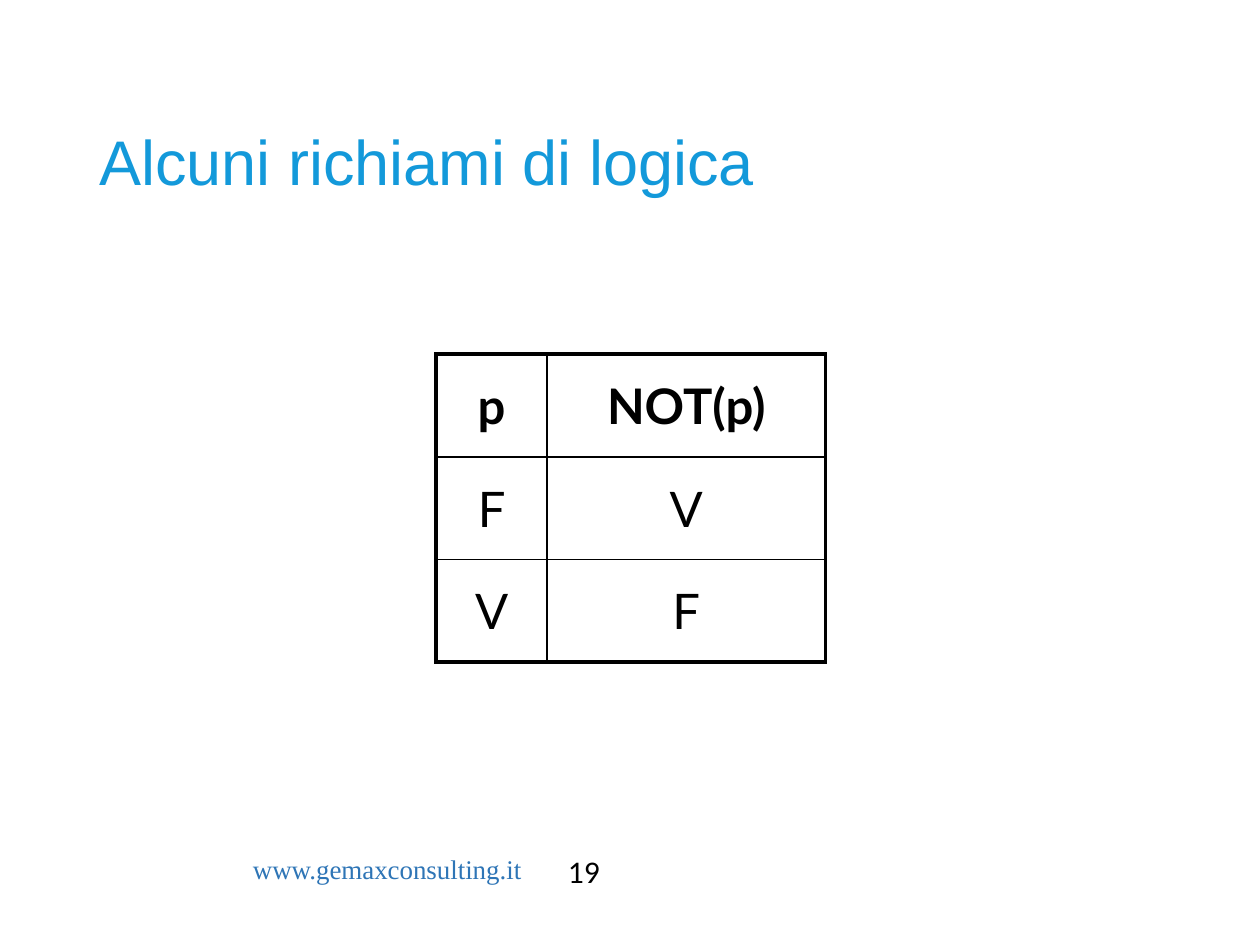
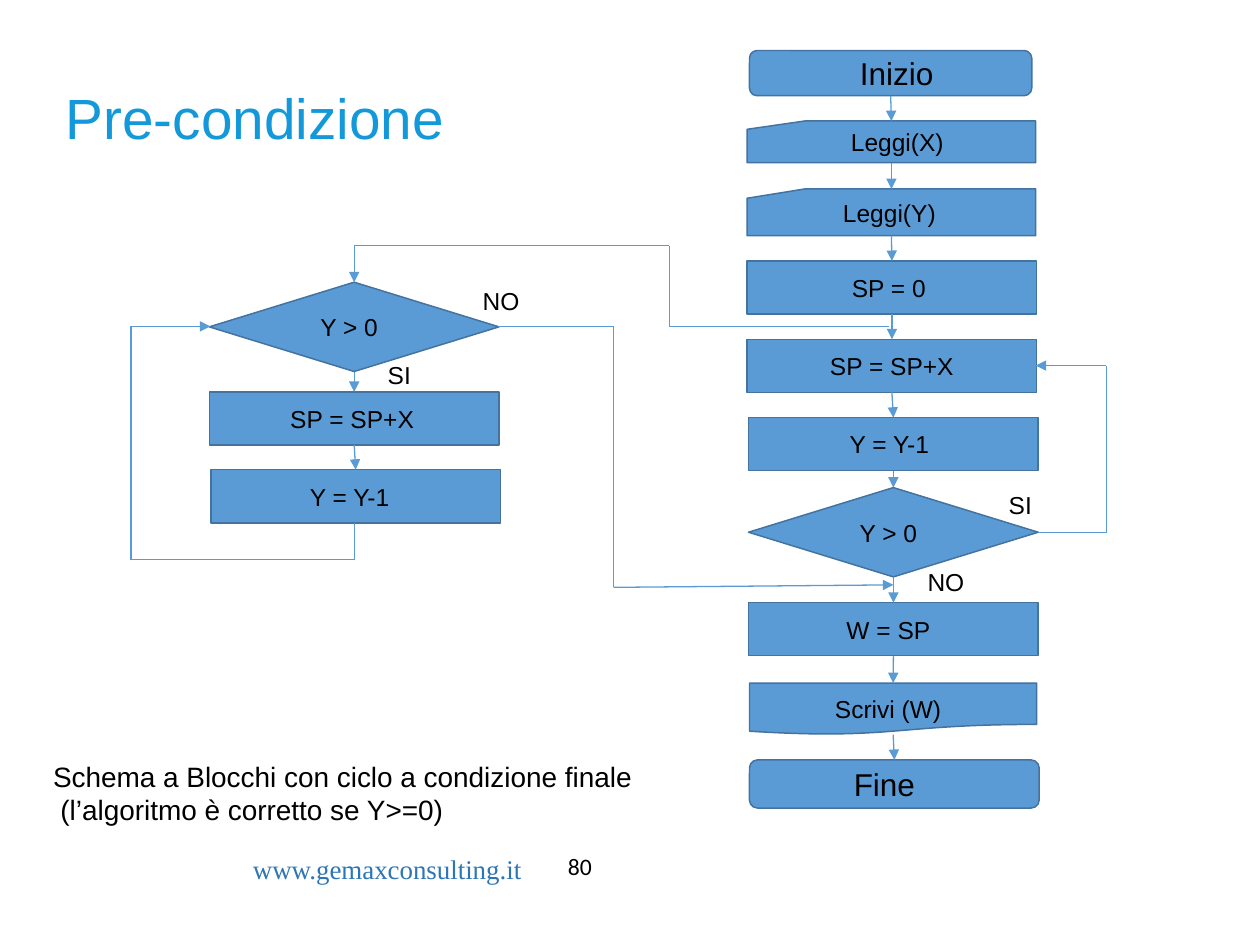
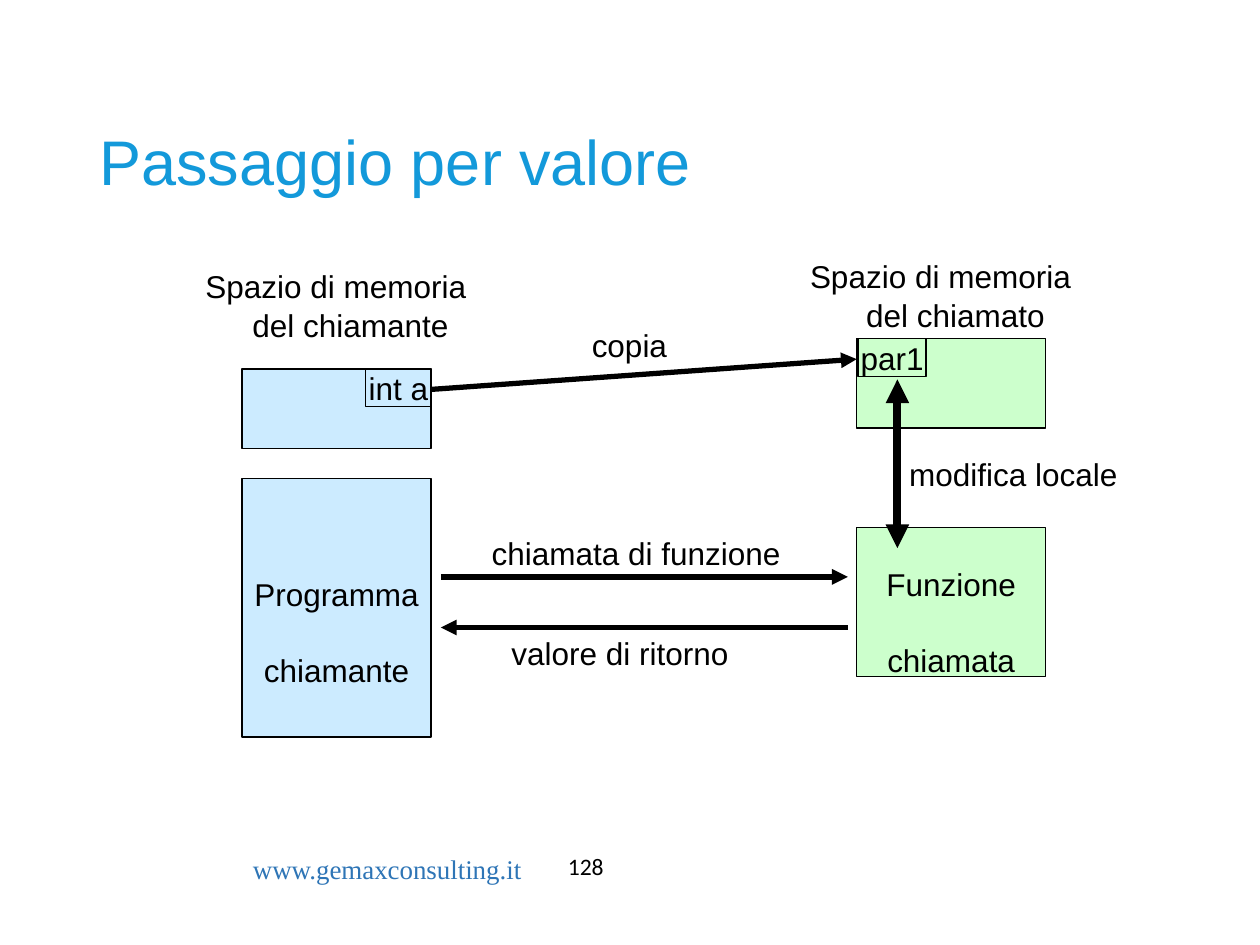
import pptx
import pptx.util
import pptx.dml.color
import pptx.enum.shapes
import pptx.enum.text
import pptx.oxml
import pptx.oxml.ns

Cm = pptx.util.Cm
Pt = pptx.util.Pt
SHAPE = pptx.enum.shapes.MSO_SHAPE
ALIGN = pptx.enum.text.PP_ALIGN
ANCHOR = pptx.enum.text.MSO_ANCHOR

COLORS = {
    "title": "1399DA",
    "footer": "2E75B6",
    "text": "000000",
    "block": "5B9BD5",
    "block_line": "43739E",
    "caller": "CCEBFF",
    "called": "CCFFCC",
}
SITE = "www.gemaxconsulting.it"


def rgb(name):
    return pptx.dml.color.RGBColor.from_string(COLORS[name])


def sub(parent, tag, **attrs):
    el = pptx.oxml.parse_xml(f"<{tag} {pptx.oxml.ns.nsdecls('a')}/>")
    for key, value in attrs.items():
        el.set(key, str(value))
    parent.append(el)
    return el


def set_margins(tf, left=0, top=0, right=0, bottom=0):
    tf.margin_left, tf.margin_top = Cm(left), Cm(top)
    tf.margin_right, tf.margin_bottom = Cm(right), Cm(bottom)


def write(tf, lines, size, color="text", font="Arial", align=ALIGN.LEFT, gap=0, indent=0, bold=False):
    tf.text = "\n".join(lines)
    for i, p in enumerate(tf.paragraphs):
        p.alignment = align
        if i:
            p.space_before = Pt(gap)
            p._p.get_or_add_pPr().set("marL", str(Cm(indent)))
        for r in p.runs:
            r.font.size = Pt(size)
            r.font.name = font
            r.font.bold = bold
            r.font.color.rgb = rgb(color)


def add_label(s, x, y, w, h, lines, size=18, **style):
    tf = s.shapes.add_textbox(Cm(x), Cm(y), Cm(w), Cm(h)).text_frame
    tf.word_wrap = True
    set_margins(tf)
    write(tf, lines, size, **style)
    return tf


def add_box(s, kind, x, y, w, h, fill, line, weight):
    sp = s.shapes.add_shape(kind, Cm(x), Cm(y), Cm(w), Cm(h))
    sp.shadow.inherit = False
    if fill:
        sp.fill.solid()
        sp.fill.fore_color.rgb = rgb(fill)
    else:
        sp.fill.background()
    sp.line.color.rgb = rgb(line)
    sp.line.width = Pt(weight)
    tf = sp.text_frame
    tf.word_wrap = True
    tf.vertical_anchor = ANCHOR.MIDDLE
    set_margins(tf)
    return sp


def add_line(s, start, end, color, weight, heads=()):
    cn = s.shapes.add_connector(
        pptx.enum.shapes.MSO_CONNECTOR.STRAIGHT, *[Cm(v) for v in (*start, *end)])
    cn.line.color.rgb = rgb(color)
    cn.line.width = Pt(weight)
    for head in heads:
        sub(cn.line._get_or_add_ln(), f"a:{head}", type="triangle")
    sub(cn._element.spPr, "a:effectLst")
    return cn


def add_slide(prs, title, number, box=(1.75, 1.02, 21.89, 3.68), size=36, number_size=13.5):
    s = prs.slides.add_slide(prs.slide_layouts[5])
    sp = s.shapes.title
    sp.left, sp.top, sp.width, sp.height = [Cm(v) for v in box]
    tf = sp.text_frame
    write(tf, [title], size, "title")
    tf.auto_size = pptx.enum.text.MSO_AUTO_SIZE.NONE
    tf.vertical_anchor = ANCHOR.MIDDLE
    tf.paragraphs[0].line_spacing = 1.5
    for x, w, text, points, color, font in (
        (4.85, 6.58, SITE, 15.4, "footer", "Times New Roman"),
        (11.2, 2.21, number, number_size, "text", "Calibri"),
    ):
        tf = add_label(s, x, 17.05, w, 0.95, [text], points, color=color, font=font)
        set_margins(tf, 0.25, 0.13, 0.25, 0.13)
    return s


def set_borders(cell, weights):
    tc_pr = cell._tc.get_or_add_tcPr()
    for i, (side, weight) in enumerate(zip("LRTB", weights)):
        ln = sub(tc_pr, f"a:ln{side}", w=Pt(weight))
        sub(sub(ln, "a:solidFill"), "a:srgbClr", val=COLORS["text"])
        tc_pr.insert(i, ln)


def truth_table(s, x, y, widths, row_height, rows):
    last_row, last_col = len(rows) - 1, len(widths) - 1
    table = s.shapes.add_table(
        len(rows), len(widths), Cm(x), Cm(y), Cm(sum(widths)), Cm(row_height * len(rows))).table
    table.first_row = table.horz_banding = False
    for col, width in zip(table.columns, widths):
        col.width = Cm(width)
    for i, row in enumerate(rows):
        for j, text in enumerate(row):
            cell = table.cell(i, j)
            cell.vertical_anchor = ANCHOR.MIDDLE
            cell.fill.background()
            write(cell.text_frame, [text], 28, font="Lato", align=ALIGN.CENTER, bold=i == 0)
            edges = (j == 0, j == last_col, i == 0, i == last_row)
            set_borders(cell, [2.25 if edge else 1 for edge in edges])


def flow_column(s, x, y, blocks):
    previous = None
    for kind, text, dx, dy, w, h, size, shift in blocks:
        sp = add_box(s, kind, x + dx, y + dy, w, h, "block", "block_line", 0.85)
        top = 0.2 if kind == SHAPE.FLOWCHART_DOCUMENT else 0
        bottom = 0.17 if kind == SHAPE.FLOWCHART_CARD else 0
        set_margins(sp.text_frame, max(0, 2 * shift), top, max(0, -2 * shift), bottom)
        write(sp.text_frame, [text], size, align=ALIGN.CENTER)
        if previous:
            cn = add_line(s, (x, y), (x, y), "block", 0.75, ["tailEnd"])
            cn.begin_connect(previous, 2)
            cn.end_connect(sp, 0)
        previous = sp


def add_route(s, x, y, points):
    points = [(x + dx, y + dy) for dx, dy in points]
    for i, (start, end) in enumerate(zip(points, points[1:])):
        heads = ["tailEnd"] if i == len(points) - 2 else []
        add_line(s, start, end, "block", 0.75, heads)


def flowchart(s, x, y):
    process, decision = SHAPE.FLOWCHART_PROCESS, SHAPE.FLOWCHART_DECISION
    card, terminal = SHAPE.FLOWCHART_CARD, SHAPE.FLOWCHART_ALTERNATE_PROCESS
    flow_column(s, x + 12.42, y, [
        (terminal, "Inizio", 0.05, 0, 5.69, 0.91, 18, 0.12),
        (card, "Leggi(X)", 0, 1.42, 5.82, 0.84, 14, 0.12),
        (card, "Leggi(Y)", 0, 2.79, 5.82, 0.94, 14, -0.04),
        (process, "SP = 0", 0, 4.24, 5.84, 1.07, 14, -0.06),
        (process, "SP = SP+X", 0, 5.82, 5.84, 1.07, 14, 0),
        (process, "Y = Y-1", 0.03, 7.4, 5.84, 1.07, 14, -0.08),
        (decision, "Y > 0", 0.03, 8.81, 5.84, 1.8, 14, -0.1),
        (process, "W = SP", 0.03, 11.13, 5.84, 1.07, 14, -0.1),
        (SHAPE.FLOWCHART_DOCUMENT, "Scrivi (W)", 0.05, 12.75, 5.79, 1.04, 14, -0.1),
        (terminal, "Fine", 0.05, 14.3, 5.84, 0.97, 18, -0.2),
    ])
    flow_column(s, x + 1.58, y + 4.67, [
        (decision, "Y > 0", 0, 0, 5.84, 1.8, 14, -0.1),
        (process, "SP = SP+X", 0, 2.21, 5.84, 1.07, 14, -0.04),
        (process, "Y = Y-1", 0.03, 3.78, 5.84, 1.07, 14, -0.12),
    ])
    for points in (
        [(18.29, 9.72), (19.66, 9.72), (19.66, 6.35), (18.24, 6.35)],
        [(4.5, 9.52), (4.5, 10.26), (0, 10.26), (0, 5.56), (1.6, 5.56)],
        [(15.29, 5.56), (10.85, 5.56), (10.85, 3.93), (4.5, 3.93), (4.5, 4.67)],
        [(7.4, 5.56), (9.73, 5.56), (9.73, 10.82), (15.37, 10.77)],
    ):
        add_route(s, x, y, points)
    for text, dx, dy in (("SI", 17.53, 8.86), ("NO", 16.03, 10.41),
                         ("SI", 5.01, 6.24), ("NO", 7.06, 4.75)):
        add_label(s, x + dx, y + dy, 0.8, 0.61, [text], 14, align=ALIGN.CENTER)


def caption(s, x, y, w, h, lines):
    tf = add_label(s, x, y, w, h, lines, 16, indent=0.15)
    for p in tf.paragraphs:
        p.line_spacing = Pt(19)


def memory_space(s, x, y, fill, title, title_dx, indent, memory, variable, code, code_lines):
    w = 3.81
    add_label(s, x + title_dx, y, 5.4, 1.55, title, gap=1, indent=indent)
    memory_top, memory_height = memory
    add_box(s, SHAPE.RECTANGLE, x, y + memory_top, w, memory_height, fill, "text", 0.75)
    name, dx, name_width = variable
    sp = add_box(s, SHAPE.RECTANGLE, x + dx, y + memory_top, name_width, 0.76, None, "text", 0.75)
    write(sp.text_frame, [name], 18, align=ALIGN.CENTER)
    code_top, code_height, text_top = code
    sp = add_box(s, SHAPE.RECTANGLE, x, y + code_top, w, code_height, fill, "text", 0.75)
    set_margins(sp.text_frame, top=text_top)
    write(sp.text_frame, code_lines, 18, align=ALIGN.CENTER, gap=22)


def call_exchange(s, x, y):
    for start, end, weight, heads in (
        ((0, 1.27), (8.58, 0.66), 3, ["tailEnd"]),
        ((0.2, 5.05), (8.4, 5.05), 3, ["tailEnd"]),
        ((8.4, 6.07), (0.2, 6.07), 3, ["tailEnd"]),
        ((9.4, 1.07), (9.4, 4.47), 4.5, ["headEnd", "tailEnd"]),
    ):
        add_line(s, (x + start[0], y + start[1]), (x + end[0], y + end[1]), "text", weight, heads)
    for text, dx, dy, w in (
        ("copia", 3.24, 0, 1.8),
        ("chiamata di funzione", 1.22, 4.19, 6.1),
        ("valore di ritorno", 1.62, 6.2, 4.7),
        ("modifica locale", 9.64, 2.59, 4.5),
    ):
        add_label(s, x + dx, y + dy, w, 0.79, [text])


def main():
    prs = pptx.Presentation()
    prs.slide_width, prs.slide_height = Cm(25.4), Cm(19.05)

    s = add_slide(prs, "Alcuni richiami di logica", "19", number_size=18)
    truth_table(s, 8.79, 7.14, [2.24, 5.61], 2.07, [("p", "NOT(p)"), ("F", "V"), ("V", "F")])

    s = add_slide(prs, "Pre-condizione", "80", (1.07, 1.02, 13.34, 1.98), 32.4)
    flowchart(s, 2.64, 1.02)
    caption(s, 1.07, 15.32, 12, 1.35, [
        "Schema a Blocchi con ciclo a condizione finale",
        "(l’algoritmo è corretto se Y>=0)",
    ])

    s = add_slide(prs, "Passaggio per valore", "128")
    memory_space(
        s, 4.88, 5.38, "caller", ["Spazio di memoria", "del chiamante"], -0.74, 0.95,
        (2.06, 1.6), ("int a", 2.49, 1.32), (4.27, 5.21, 0.97), ["Programma", "chiamante"])
    memory_space(
        s, 17.27, 5.18, "called", ["Spazio di memoria", "del chiamato"], -0.94, 1.13,
        (1.65, 1.8), ("par1", 0.03, 1.37), (5.46, 3, 0.8), ["Funzione", "chiamata"])
    call_exchange(s, 8.69, 6.58)

    prs.save("out.pptx")


if __name__ == "__main__":
    main()
